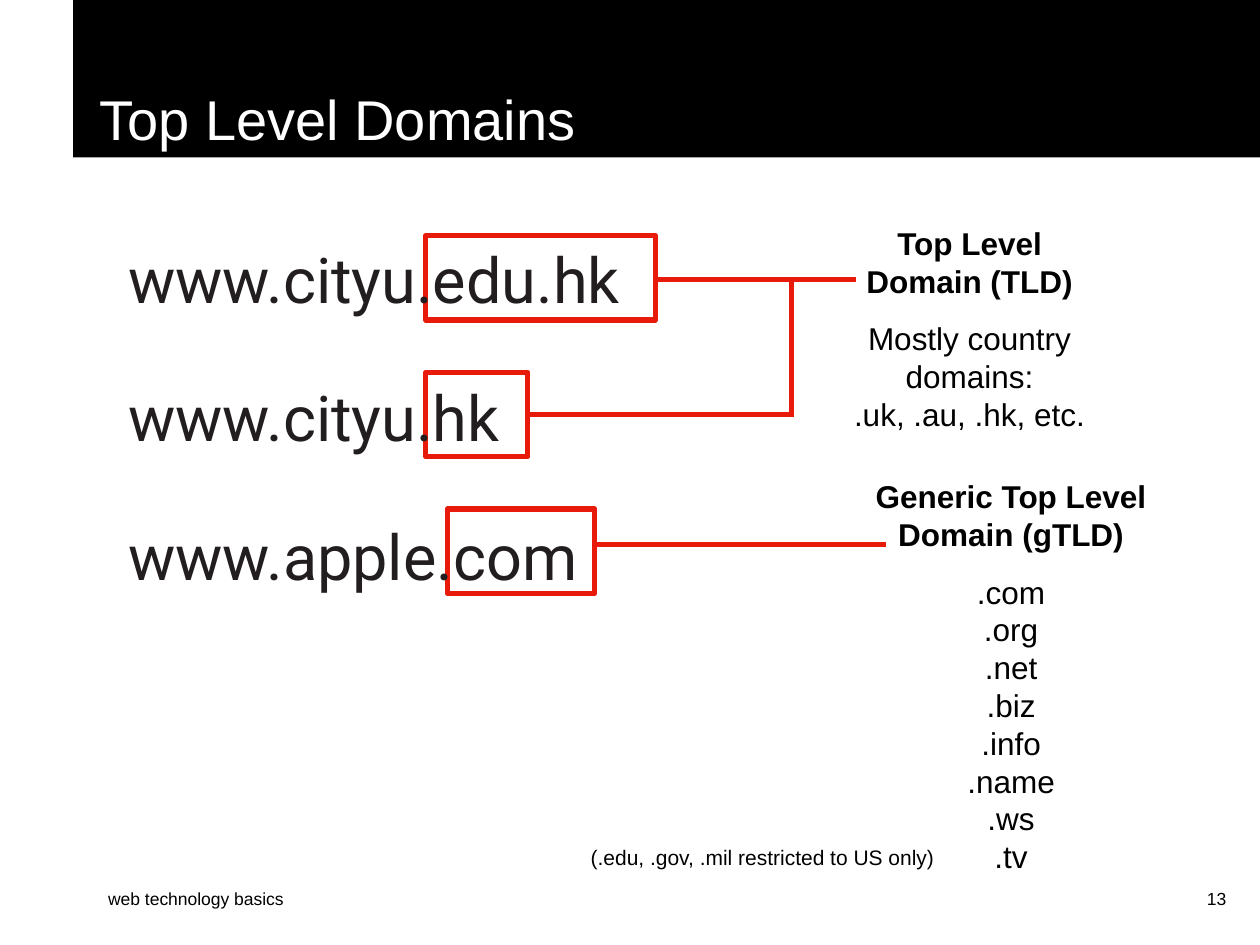
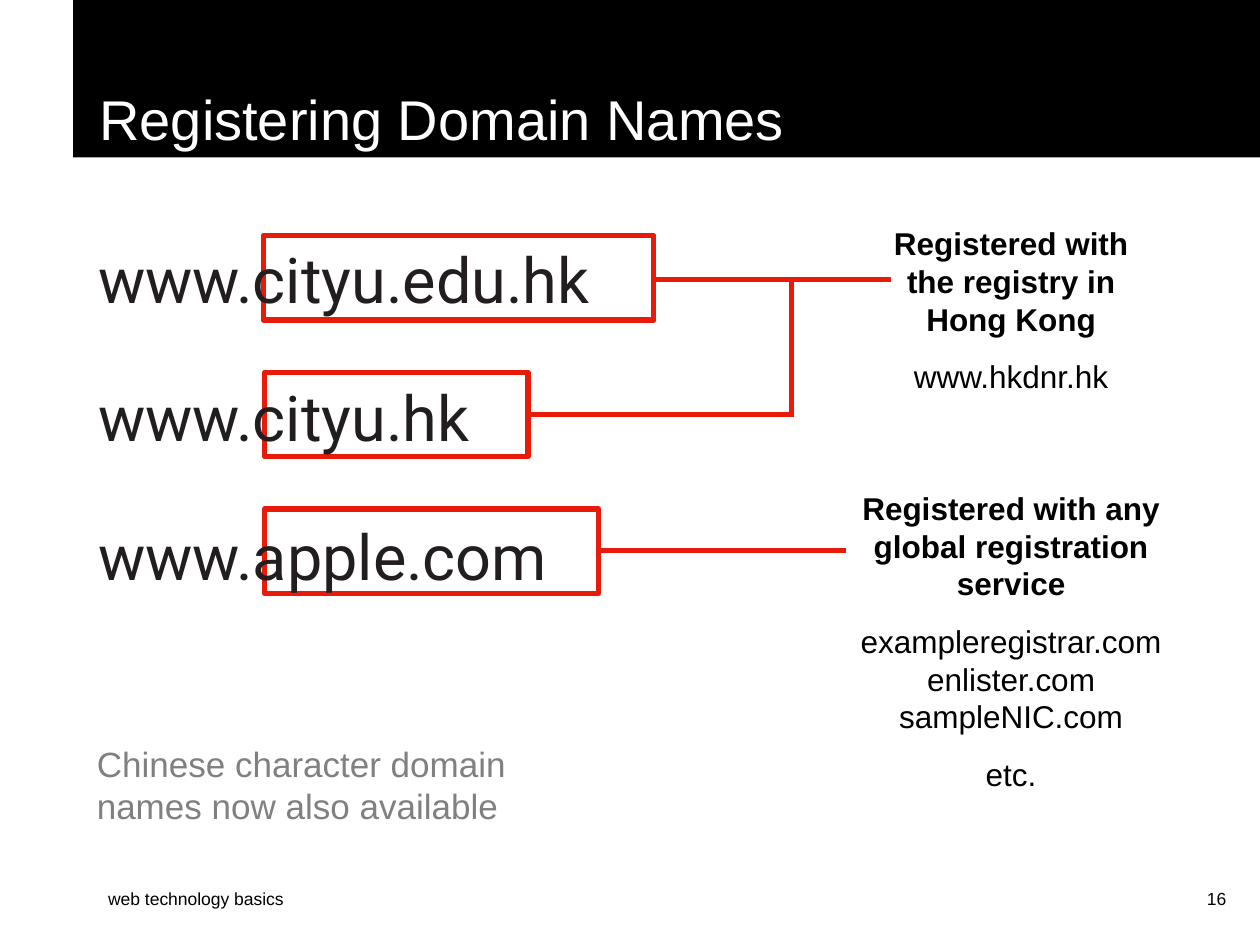
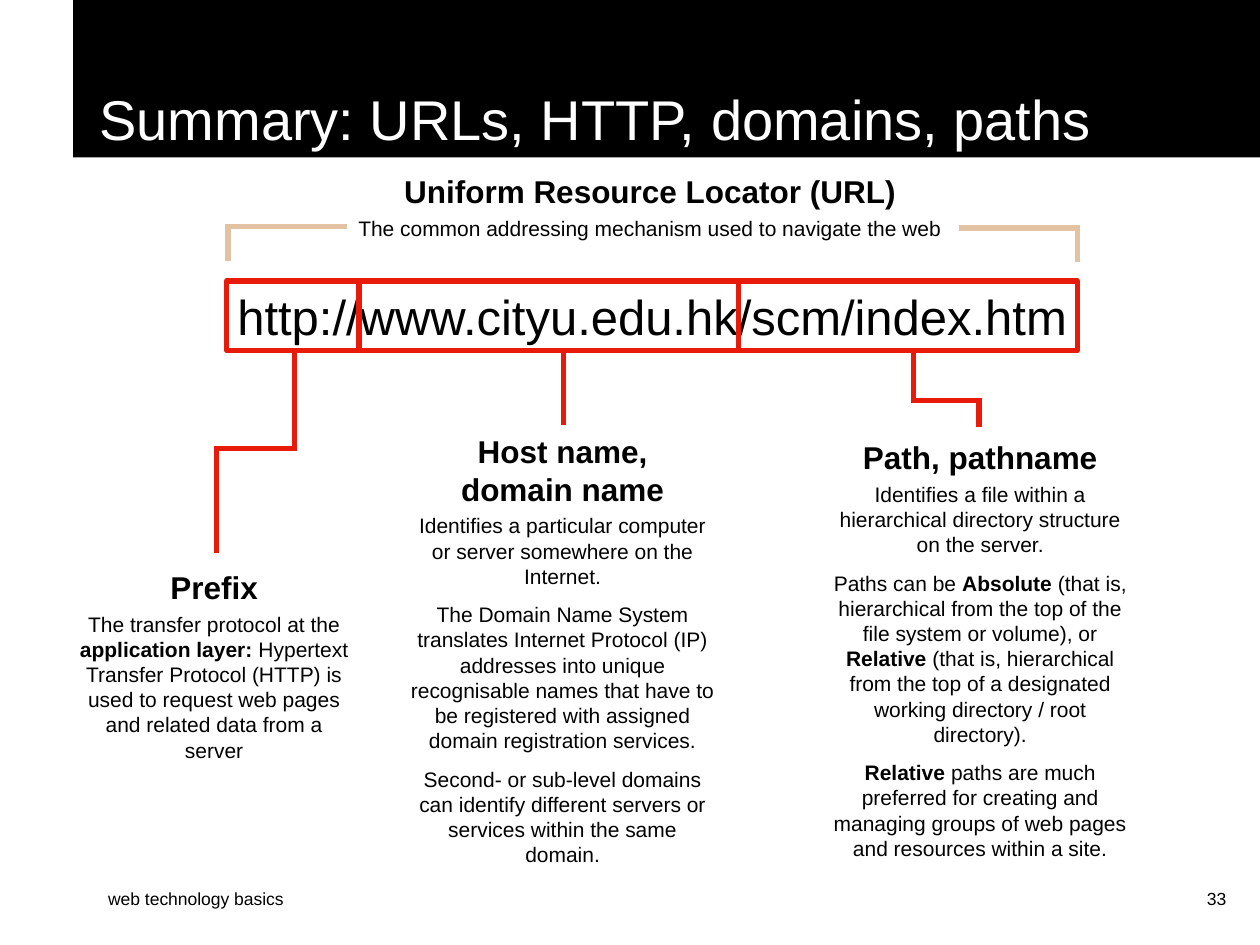
from dataclasses import dataclass
from itertools import pairwise

from lxml import etree
from pptx import Presentation, util as u
from pptx.dml.color import RGBColor
from pptx.enum import shapes, text
from pptx.oxml.ns import qn


@dataclass(frozen=True)
class Theme:
    ink: str = "000000"
    paper: str = "FFFFFF"
    domain: str = "221E1F"
    muted: str = "808080"
    mark: str = "E81B0A"
    bracket: str = "E3C2A3"
    sans: str = "Arial"
    display: str = "Roboto"
    title: int = 32
    domain_size: int = 36
    url: int = 28
    aside: int = 20
    heading: int = 18
    small: int = 12
    footer: int = 10
    stroke: int = 3


THEME = Theme()
WIDTH, HEIGHT = 10, 7.5
BAND = (0.58, 0, WIDTH - 0.58, HEIGHT / 6)
FOOTER = "web technology basics"
ROW_TOP, ROW_STEP, ROW_HEIGHT = 1.87, 1.085, 0.67
LEFT, CENTER, RIGHT = text.PP_ALIGN.LEFT, text.PP_ALIGN.CENTER, text.PP_ALIGN.RIGHT
DOMAINS = ["www.cityu.edu.hk", "www.cityu.hk", "www.apple.com"]

DOMAIN_SLIDES = [
    {
        "title": "Top Level Domains", "number": 13, "indent": 0.34,
        "frames": [(3.38, 5.2), (3.38, 4.19), (3.55, 4.72)],
        "wire_end": 6.79, "last_wire": (4.73, 7.03, 4.32),
        "callouts": [
            ((6.54, 1.73, 2.31, 1.76),
             ["Top Level Domain (TLD)", "Mostly country domains:\n.uk, .au, .hk, etc."]),
            ((6.51, 3.74, 3.03, 3.26),
             ["Generic Top Level Domain (gTLD)",
              ".com\n.org\n.net\n.biz\n.info\n.name\n.ws\n.tv"]),
        ],
        "note": ((4.59, 6.65, 2.94, 0.3), "(.edu, .gov, .mil restricted to US only)",
                 THEME.small, THEME.ink),
    },
    {
        "title": "Registering Domain Names", "number": 16, "indent": 0.1,
        "frames": [(2.09, 5.19), (2.1, 4.19), (2.1, 4.75)],
        "wire_end": 7.07, "last_wire": (4.75, 6.71, 4.37),
        "callouts": [
            ((6.87, 1.73, 2.31, 1.46),
             ["Registered with the registry in Hong Kong", "www.hkdnr.hk"]),
            ((6.51, 3.83, 3.03, 2.52),
             ["Registered with any global registration service",
              "exampleregistrar.com\nenlister.com\nsampleNIC.com", "etc."]),
        ],
        "note": ((0.67, 5.84, 3.66, 0.77), "Chinese character domain names now also available",
                 THEME.aside, THEME.muted),
    },
]

SUMMARY = {
    "title": "Summary: URLs, HTTP, domains, paths", "number": 33,
    "url": "http://www.cityu.edu.hk/scm/index.htm",
    "frame_edges": [1.8, 2.85, 5.86, 8.55], "frame_top": 2.23, "frame_height": 0.55,
    "callouts": [
        ((1.81, 1.32, 6.7, 0.64),
         ["Uniform Resource Locator (URL)",
          "The common addressing mechanism used to navigate the web"]),
        ((0.52, 4.46, 2.36, 1.64),
         ["Prefix",
          "The transfer protocol at the **application layer:** Hypertext Transfer Protocol "
          "(HTTP) is used to request web pages and related data from a server"]),
        ((3.14, 3.38, 2.65, 3.55),
         ["Host name,\ndomain name",
          "Identifies a particular computer or server somewhere on the Internet.",
          "The Domain Name System translates Internet Protocol (IP) addresses into unique "
          "recognisable names that have to be registered with assigned domain registration "
          "services.",
          "Second- or sub-level domains can identify different servers or services within "
          "the same domain."]),
        ((6.46, 3.43, 2.64, 3.45),
         ["Path, pathname",
          "Identifies a file within a hierarchical directory structure on the server.",
          "Paths can be **Absolute** (that is, hierarchical from the top of the file system "
          "or volume), or **Relative** (that is, hierarchical from the top of a designated "
          "working directory / root directory).",
          "**Relative** paths are much preferred for creating and managing groups of web "
          "pages and resources within a site."]),
    ],
    "wires": [
        [(2.34, 2.8), (2.34, 3.56), (1.72, 3.56), (1.72, 4.37)],
        [(4.47, 2.8), (4.47, 3.35)],
        [(7.25, 2.8), (7.25, 3.18), (7.77, 3.18), (7.77, 3.37)],
    ],
    "brackets": [
        [(2.73, 1.8), (1.81, 1.8), (1.81, 2.05)],
        [(7.63, 1.81), (8.55, 1.81), (8.55, 2.06)],
    ],
}


def rgb(code):
    return RGBColor.from_string(code)


def inches(values):
    return [u.Inches(value) for value in values]


def write(para, content, size, color=THEME.ink, bold=False, font=THEME.sans, align=LEFT):
    para.alignment = align
    for part_index, part in enumerate(content.split("**")):
        for line_index, line in enumerate(part.split("\n")):
            if line_index:
                para.add_line_break()
            if not line:
                continue
            span = para.add_run()
            span.text = line
            span.font.size, span.font.name = u.Pt(size), font
            span.font.bold = bold or part_index % 2 == 1
            span.font.color.rgb = rgb(color)


def indent(para, distance):
    props = para._p.get_or_add_pPr()
    props.set("marL", str(u.Inches(distance)))
    props.set("indent", "0")


def add_box(page, place, wrap=True):
    frame = page.shapes.add_textbox(*inches(place)).text_frame
    frame.word_wrap = wrap
    return frame


def add_label(page, place, content, size, wrap=True, **style):
    para = add_box(page, place, wrap).paragraphs[0]
    write(para, content, size, **style)
    return para


def add_rect(page, place, fill=None, line=None):
    shape = page.shapes.add_shape(shapes.MSO_SHAPE.RECTANGLE, *inches(place))
    shape.shadow.inherit = False
    if fill:
        shape.fill.solid()
        shape.fill.fore_color.rgb = rgb(fill)
    else:
        shape.fill.background()
    if line:
        shape.line.color.rgb = rgb(line)
        shape.line.width = u.Pt(THEME.stroke)
    else:
        shape.line.fill.background()
    return shape


def add_wire(page, points, color=THEME.mark):
    for start, end in pairwise(points):
        wire = page.shapes.add_connector(
            shapes.MSO_CONNECTOR.STRAIGHT, *inches(start + end))
        wire.line.color.rgb = rgb(color)
        wire.line.width = u.Pt(THEME.stroke)
        props = wire._element.spPr
        props.find(qn("a:ln")).set("cap", "sq")
        etree.SubElement(props, qn("a:effectLst"))


def add_callout(page, place, paragraphs, body_size, gaps):
    frame = add_box(page, place)
    for index, content in enumerate(paragraphs):
        para = frame.paragraphs[0] if index == 0 else frame.add_paragraph()
        if index:
            para.space_before = u.Pt(gaps[min(index, len(gaps)) - 1])
        size = body_size if index else THEME.heading
        write(para, content, size, bold=index == 0, align=CENTER)


def add_page(deck, title, number):
    page = deck.slides.add_slide(deck.slide_layouts[6])
    add_label(page, (0.76, 7, 3.31, 0.5), FOOTER, THEME.footer)
    add_label(page, (7.75, 7, 2.08, 0.5), str(number), THEME.footer, align=RIGHT)
    frame = add_rect(page, BAND, fill=THEME.ink).text_frame
    frame.word_wrap = True
    frame.vertical_anchor = text.MSO_ANCHOR.BOTTOM
    write(frame.paragraphs[0], title, THEME.title, THEME.paper)
    indent(frame.paragraphs[0], 0.11)
    return page


def add_domain_page(deck, content):
    page = add_page(deck, content["title"], content["number"])
    for row, (left, right) in enumerate(content["frames"]):
        add_rect(page, (left, ROW_TOP + row * ROW_STEP, right - left, ROW_HEIGHT),
                 line=THEME.mark)
    names = add_box(page, (0.58, 1.8, 9.08, 3.05))
    for row, name in enumerate(DOMAINS):
        para = names.paragraphs[0] if row == 0 else names.add_paragraph()
        indent(para, content["indent"])
        para.line_spacing = 1.1
        para.space_before = u.Pt(22.5 if row else 0)
        para.space_after = u.Pt(9)
        write(para, name, THEME.domain_size, THEME.domain, font=THEME.display)
    for place, paragraphs in content["callouts"]:
        add_callout(page, place, paragraphs, THEME.heading, [11.2])
    start, end, level = content["last_wire"]
    add_wire(page, [(5.21, 2.22), (content["wire_end"] - 0.02, 2.22)])
    add_wire(page, [(4.2, 3.29), (6.28, 3.29), (6.28, 2.22)])
    add_wire(page, [(start + 0.02, level), (end - 0.02, level)])
    place, note, size, color = content["note"]
    add_label(page, place, note, size, wrap=size != THEME.small, color=color)


def add_summary_page(deck, content):
    page = add_page(deck, content["title"], content["number"])
    url = add_label(page, (0.58, 2.18, 9.09, 0.6), content["url"], THEME.url, align=CENTER)
    indent(url, 0.1)
    url.line_spacing = 1.1
    for left, right in pairwise(content["frame_edges"]):
        add_rect(page, (left, content["frame_top"], right - left, content["frame_height"]),
                 line=THEME.mark)
    for place, paragraphs in content["callouts"]:
        add_callout(page, place, paragraphs, THEME.small, [3, 7.5])
    for points in content["wires"]:
        add_wire(page, points)
    for points in content["brackets"]:
        add_wire(page, points, THEME.bracket)


def main():
    deck = Presentation()
    deck.slide_width, deck.slide_height = inches((WIDTH, HEIGHT))
    for content in DOMAIN_SLIDES:
        add_domain_page(deck, content)
    add_summary_page(deck, SUMMARY)
    deck.save("out.pptx")


if __name__ == "__main__":
    main()
